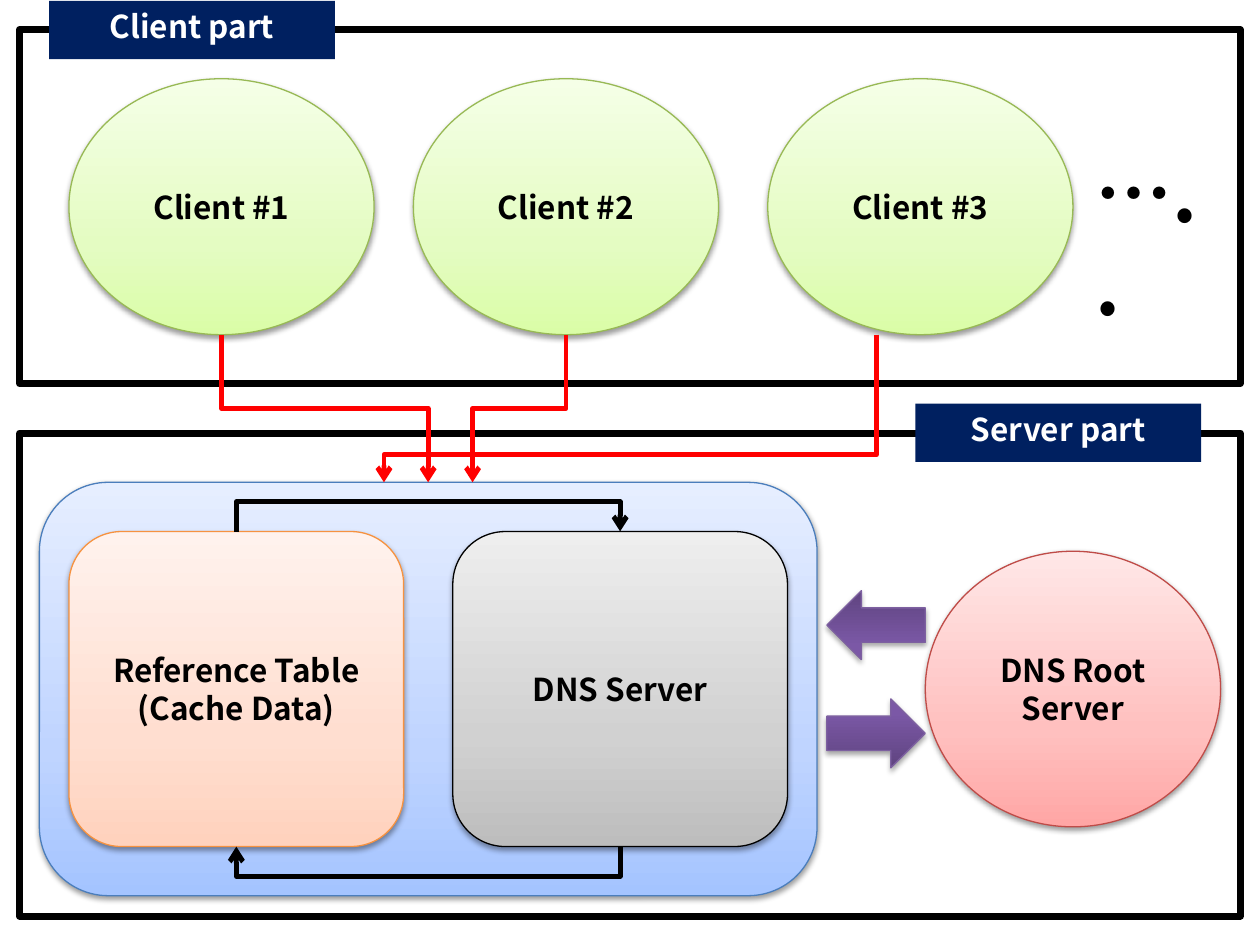
from lxml import etree
from pptx import Presentation
from pptx.dml.color import RGBColor
from pptx.enum.shapes import MSO_CONNECTOR, MSO_SHAPE
from pptx.enum.text import MSO_ANCHOR, MSO_AUTO_SIZE, PP_ALIGN
from pptx.oxml.ns import qn
from pptx.util import Pt

RECT, ROUND = MSO_SHAPE.RECTANGLE, MSO_SHAPE.ROUNDED_RECTANGLE
OVAL, ARROW = MSO_SHAPE.OVAL, MSO_SHAPE.RIGHT_ARROW
ELBOW = MSO_CONNECTOR.ELBOW
TOP, MIDDLE = MSO_ANCHOR.TOP, MSO_ANCHOR.MIDDLE
LEFT, CENTER = PP_ALIGN.LEFT, PP_ALIGN.CENTER
FIT = MSO_AUTO_SIZE.SHAPE_TO_FIT_TEXT

FONT = "Noto Sans CJK KR"
BLACK = RGBColor(0x00, 0x00, 0x00)
WHITE = RGBColor(0xFF, 0xFF, 0xFF)
RED = RGBColor(0xFF, 0x00, 0x00)
NAVY = RGBColor(0x00, 0x20, 0x60)
BLUE_LINE = RGBColor(0x4B, 0x7E, 0xBC)
PINK_LINE = RGBColor(0xBF, 0x4C, 0x48)
PURPLE_LINE = RGBColor(0x7D, 0x60, 0xA0)
ORANGE_LINE = RGBColor(0xF6, 0x92, 0x40)
GREEN_LINE = RGBColor(0x98, 0xB9, 0x55)


def grades(*stops):
    """Return gradient stops as (percent, colour) pairs."""
    return [(pos, RGBColor.from_string(color)) for pos, color in stops]


BLUE = grades((0, "A4C4FF"), (35, "BFD4FF"), (100, "E6EEFF"))
PINK = grades((0, "FFA6A5"), (35, "FFC0BF"), (100, "FFE7E7"))
PURPLE = grades((0, "5F4480"), (80, "7B58A6"), (100, "7C57A8"))
ORANGE = grades((0, "FFD2BD"), (35, "FFDED0"), (100, "FFF2ED"))
GRAY = grades((0, "BDBDBD"), (35, "D1D1D1"), (100, "EEEEEE"))
GREEN = grades((0, "DAFDA7"), (35, "E4FCC2"), (100, "F5FFE7"))


def sub(parent, tag, **attrs):
    """Append a DrawingML child with the given attributes."""
    child = etree.SubElement(parent, qn(tag))
    for name, value in attrs.items():
        child.set(name, str(value))
    return child


def write(sp, lines, color, size=18, align=CENTER, anchor=MIDDLE):
    """Fill a shape with bold paragraphs."""
    tf = sp.text_frame
    tf.word_wrap = True
    tf.vertical_anchor = anchor
    tf.text = "\n".join(lines)
    for p in tf.paragraphs:
        p.alignment = align
        p.font.name, p.font.size, p.font.bold = FONT, Pt(size), True
        p.font.color.rgb = color
        for r in p.runs:
            sub(r._r.get_or_add_rPr(), "a:ea", typeface=FONT)


def add_frame(s, x, y, w, h):
    """Add an unfilled black frame."""
    sp = s.shapes.add_shape(RECT, Pt(x), Pt(y), Pt(w), Pt(h))
    sp.shadow.inherit = False
    sp.fill.background()
    sp.line.color.rgb = BLACK
    sp.line.width = Pt(4)


def add_label(s, x, y, text):
    """Add a navy heading block."""
    sp = s.shapes.add_shape(RECT, Pt(x), Pt(y), Pt(163.3), Pt(33.3))
    sp.shadow.inherit = False
    sp.fill.solid()
    sp.fill.fore_color.rgb = NAVY
    sp.line.fill.background()
    write(sp, [text], WHITE, anchor=TOP)


def add_node(s, kind, x, y, w, h, stops, line, lines=(), alpha=38, dist=1.6):
    """Add a shape with an upward gradient and a soft shadow."""
    sp = s.shapes.add_shape(kind, Pt(x), Pt(y), Pt(w), Pt(h))
    sp.line.color.rgb = line
    sp.line.width = Pt(0.75)
    grad = etree.Element(qn("a:gradFill"))
    grad.set("rotWithShape", "1")
    stop_list = sub(grad, "a:gsLst")
    for pos, color in stops:
        stop = sub(stop_list, "a:gs", pos=pos * 1000)
        sub(stop, "a:srgbClr", val=color)
    sub(grad, "a:lin", ang=270 * 60000, scaled=0)
    props = sp.element.spPr
    props.find(qn("a:prstGeom")).addnext(grad)
    sp.shadow.inherit = False
    shadow = sub(props.find(qn("a:effectLst")), "a:outerShdw", blurRad=Pt(3.1),
                 dist=Pt(dist), dir=90 * 60000, rotWithShape=0)
    sub(sub(shadow, "a:srgbClr", val=BLACK), "a:alpha", val=alpha * 1000)
    if lines:
        write(sp, lines, BLACK)
    return sp


def add_elbow(s, x1, y1, x2, y2, bend, color):
    """Add an arrow that leaves vertically, crosses at y = bend and arrives vertically."""
    w, h = max(abs(y2 - y1), 0.12), abs(x2 - x1)
    left, top = (x1 + x2 - w) / 2, (y1 + y2 - h) / 2
    c = s.shapes.add_connector(ELBOW, Pt(left), Pt(top), Pt(left + w), Pt(top + h))
    c.line.color.rgb = color
    c.line.width = Pt(2.75)
    right, up = x2 > x1, bend < y1
    props = c.element.spPr
    xfrm = props.find(qn("a:xfrm"))
    xfrm.set("rot", str((270 if right and not up else 90) * 60000))
    if right:
        xfrm.set("flipH", "1")
    if right and up:
        xfrm.set("flipV", "1")
    guides = props.find(qn("a:prstGeom")).get_or_add_avLst()
    sub(guides, "a:gd", name="adj1", fmla=f"val {round(abs(bend - y1) / w * 100000)}")
    sub(c.line._get_or_add_ln(), "a:tailEnd", type="arrow")
    sub(props, "a:effectLst")


def add_server_part(s):
    """Draw the server frame with its nodes and arrows."""
    add_frame(s, 11.25, 247.5, 697.5, 276)
    add_node(s, ROUND, 22.5, 275.6, 444.4, 236.2, BLUE, BLUE_LINE)
    add_node(s, OVAL, 528.75, 315, 168.75, 157.5, PINK, PINK_LINE, ["DNS Root Server"])
    for y, rotation in ((399.4, 0), (337.5, 180)):
        sp = add_node(s, ARROW, 472.5, y, 56.25, 39.4, PURPLE, PURPLE_LINE,
                      alpha=35, dist=1.8)
        sp.rotation = rotation
    top, side, bottom = 303.75, 191.25, 483.75
    table_x, server_x = 39.4, 258.75
    for x, stops, line, lines in (
            (table_x, ORANGE, ORANGE_LINE, ["Reference Table", "(Cache Data)"]),
            (server_x, GRAY, BLACK, ["DNS Server"])):
        add_node(s, ROUND, x, top, side, bottom - top, stops, line, lines)
    table_mid, server_mid = table_x + side / 2, server_x + side / 2
    add_elbow(s, table_mid, top, server_mid, top, top - 18, BLACK)
    add_elbow(s, server_mid, bottom, table_mid, bottom, bottom + 18, BLACK)
    add_label(s, 523.1, 230.6, "Server part")


def add_client_part(s):
    """Draw the client frame, the clients and their requests."""
    add_frame(s, 11.25, 16.9, 697.5, 202.3)
    add_label(s, 28.1, 0.5, "Client part")
    for number, x in enumerate((39.4, 236.25, 438.75), 1):
        add_node(s, OVAL, x, 45, 174.4, 146.25, GREEN, GREEN_LINE, [f"Client #{number}"])
    dots = s.shapes.add_textbox(Pt(618.75), Pt(79.9), Pt(78.75), Pt(60.6))
    write(dots, ["….."], BLACK, size=44, align=LEFT, anchor=TOP)
    dots.text_frame.auto_size = FIT
    for x1, x2, bend in ((126.6, 244.7, 233.4), (323.4, 270, 233.4), (500.9, 219.4, 259.8)):
        add_elbow(s, x1, 191.25, x2, 275.6, bend, RED)


def main():
    """Build and save the slide."""
    prs = Presentation()
    prs.slide_width, prs.slide_height = Pt(720), Pt(540)
    s = prs.slides.add_slide(prs.slide_layouts[6])
    add_server_part(s)
    add_client_part(s)
    prs.save("out.pptx")


main()
